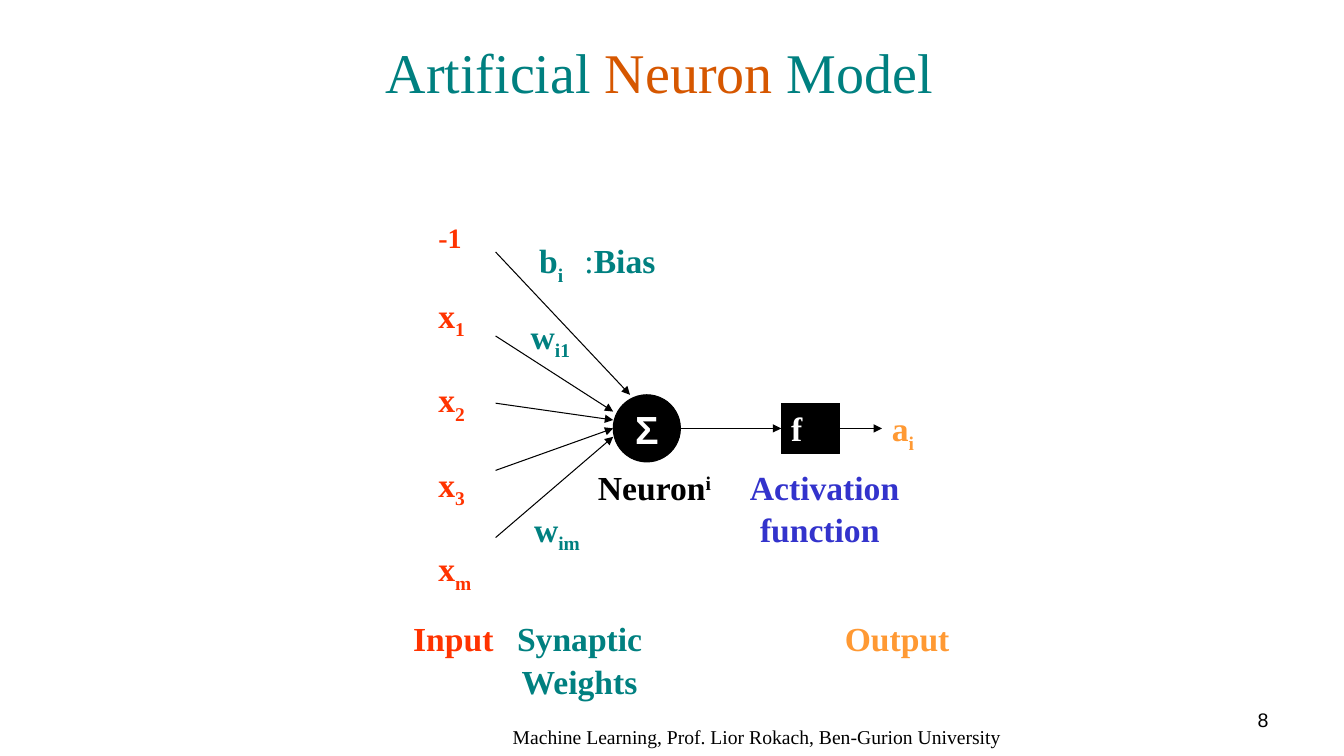
"""Builds the artificial neuron model slide."""
from dataclasses import dataclass

from lxml import etree
from pptx import Presentation
from pptx import util as u
from pptx.dml.color import RGBColor
from pptx.enum import shapes, text
from pptx.oxml.ns import qn


@dataclass(frozen=True)
class Theme:
    black: str = "000000"
    white: str = "FFFFFF"
    teal: str = "008080"
    rust: str = "D65700"
    red: str = "FF3300"
    blue: str = "3333CC"
    orange: str = "FF9933"
    serif: str = "Times New Roman"
    sans: str = "Arial"
    title_size: int = 40
    sigma_size: int = 28
    label_size: int = 24
    bias_input_size: int = 20
    footer_size: int = 14
    line_width: float = 0.75


class NeuronSlide:
    """Draws on one slide, measured in a grid of 160 columns by 90 rows."""

    def __init__(self, presentation, theme):
        self.theme = theme
        self.slide = presentation.slides.add_slide(presentation.slide_layouts[6])
        self.column = presentation.slide_width / 160
        self.row = presentation.slide_height / 90

    def place(self, *lengths):
        units = (self.column, self.row) * 2
        return [u.Emu(round(length * unit)) for length, unit in zip(lengths, units)]

    def set_text(self, paragraph, runs, colour, size=None, bold=True, font=None,
                 align=text.PP_ALIGN.LEFT):
        paragraph.alignment = align
        paragraph.font.name = font or self.theme.serif
        paragraph.font.size = u.Pt(size or self.theme.label_size)
        paragraph.font.bold = bold
        paragraph.font.color.rgb = RGBColor.from_string(colour)
        for wording, *baseline in runs:
            run = paragraph.add_run()
            run.text = wording
            if baseline:
                run.font._element.set("baseline", str(baseline[0] * 1000))

    def label(self, box, lines, colour, gap=0, **style):
        shape = self.slide.shapes.add_textbox(*self.place(*box))
        frame = shape.text_frame
        frame.word_wrap = True
        for index, runs in enumerate(lines):
            paragraph = frame.add_paragraph() if index else frame.paragraphs[0]
            if index and gap:
                paragraph.space_before = u.Pt(gap)
            self.set_text(paragraph, runs, colour, **style)
        return frame

    def node(self, kind, box, wording, anchor, **style):
        shape = self.slide.shapes.add_shape(kind, *self.place(*box))
        shape.shadow.inherit = False
        shape.fill.solid()
        shape.fill.fore_color.rgb = RGBColor.from_string(self.theme.black)
        shape.line.color.rgb = RGBColor.from_string(self.theme.black)
        shape.line.width = u.Pt(self.theme.line_width)
        frame = shape.text_frame
        frame.word_wrap = False
        frame.vertical_anchor = anchor
        self.set_text(frame.paragraphs[0], [(wording,)], self.theme.white, **style)

    def arrow(self, start, end):
        connector = self.slide.shapes.add_connector(
            shapes.MSO_CONNECTOR.STRAIGHT, *self.place(*start, *end))
        connector.line.color.rgb = RGBColor.from_string(self.theme.black)
        connector.line.width = u.Pt(self.theme.line_width)
        etree.SubElement(connector.line._get_or_add_ln(), qn("a:tailEnd"), type="triangle")
        etree.SubElement(connector._element.spPr, qn("a:effectLst"))


def main():
    theme = Theme()
    presentation = Presentation()
    presentation.slide_width = u.Inches(13.33)
    presentation.slide_height = u.Inches(7.5)
    neuron = NeuronSlide(presentation, theme)
    centre, right = text.PP_ALIGN.CENTER, text.PP_ALIGN.RIGHT

    title = neuron.label((4, 2, 149, 13), [[("Artificial ",), ("Neuron",), (" Model",)]],
                         theme.teal, size=theme.title_size, bold=False, align=centre)
    title.vertical_anchor = text.MSO_ANCHOR.MIDDLE
    title.paragraphs[0].runs[1].font.color.rgb = RGBColor.from_string(theme.rust)

    neuron.label((51, 25.7, 8, 5), [[("-1",)]], theme.red, size=theme.bias_input_size)
    neuron.label((51, 34.5, 8, 40), [[("x",), (index, -25)] for index in "123m"],
                 theme.red, gap=theme.label_size * 1.15)

    labels = [
        ((63, 28, 6, 6), [[("b",), ("i", -25)]], theme.teal),
        ((62, 37, 11, 6), [[("w",), ("i1", -25)]], theme.teal),
        ((62.4, 60, 9, 6), [[("w",), ("im", -25)]], theme.teal),
        ((105, 48, 11, 6), [[("a",), ("i", -25)]], theme.orange),
        ((70, 55, 18, 6), [[("Neuron",), ("i", 30)]], theme.black),
        ((88.1, 55, 22, 6), [[("Activation",)]], theme.blue),
        ((89.3, 60, 22, 6), [[("function",)]], theme.blue),
        ((48, 73, 12, 6), [[("Input",)]], theme.red),
        ((99.4, 73, 16, 6), [[("Output",)]], theme.orange),
    ]
    for box, lines, colour in labels:
        neuron.label(box, lines, colour)
    neuron.label((60, 73, 18, 11), [[("Synaptic",)], [("Weights",)]], theme.teal,
                 gap=1.5, align=centre)
    bias = neuron.label((68.4, 28, 14, 6), [[(":",), ("Bias",)]], theme.teal)
    bias.paragraphs[0].runs[0].font.bold = False

    neuron.node(shapes.MSO_SHAPE.OVAL, (73, 47, 8, 8), "Σ", text.MSO_ANCHOR.MIDDLE,
                size=theme.sigma_size, font=theme.sans, align=centre)
    neuron.node(shapes.MSO_SHAPE.RECTANGLE, (93, 48, 7, 6), "f", text.MSO_ANCHOR.TOP)

    neuron.arrow((59, 30), (75, 47))
    for index in range(4):
        neuron.arrow((59, 40 + 8 * index), (73, 49 + index))
    neuron.arrow((81, 51), (93, 51))
    neuron.arrow((100, 51), (105, 51))

    neuron.label((119, 83.7, 33.2, 6), [[("8",)]], theme.black, size=theme.footer_size,
                 bold=False, font=theme.sans, align=right)
    neuron.label((38.4, 85.7, 82, 4.3),
                 [[("Machine Learning, Prof. Lior Rokach, Ben-Gurion University",)]],
                 theme.black, size=theme.footer_size, bold=False, align=right)
    presentation.save("out.pptx")


if __name__ == "__main__":
    main()
